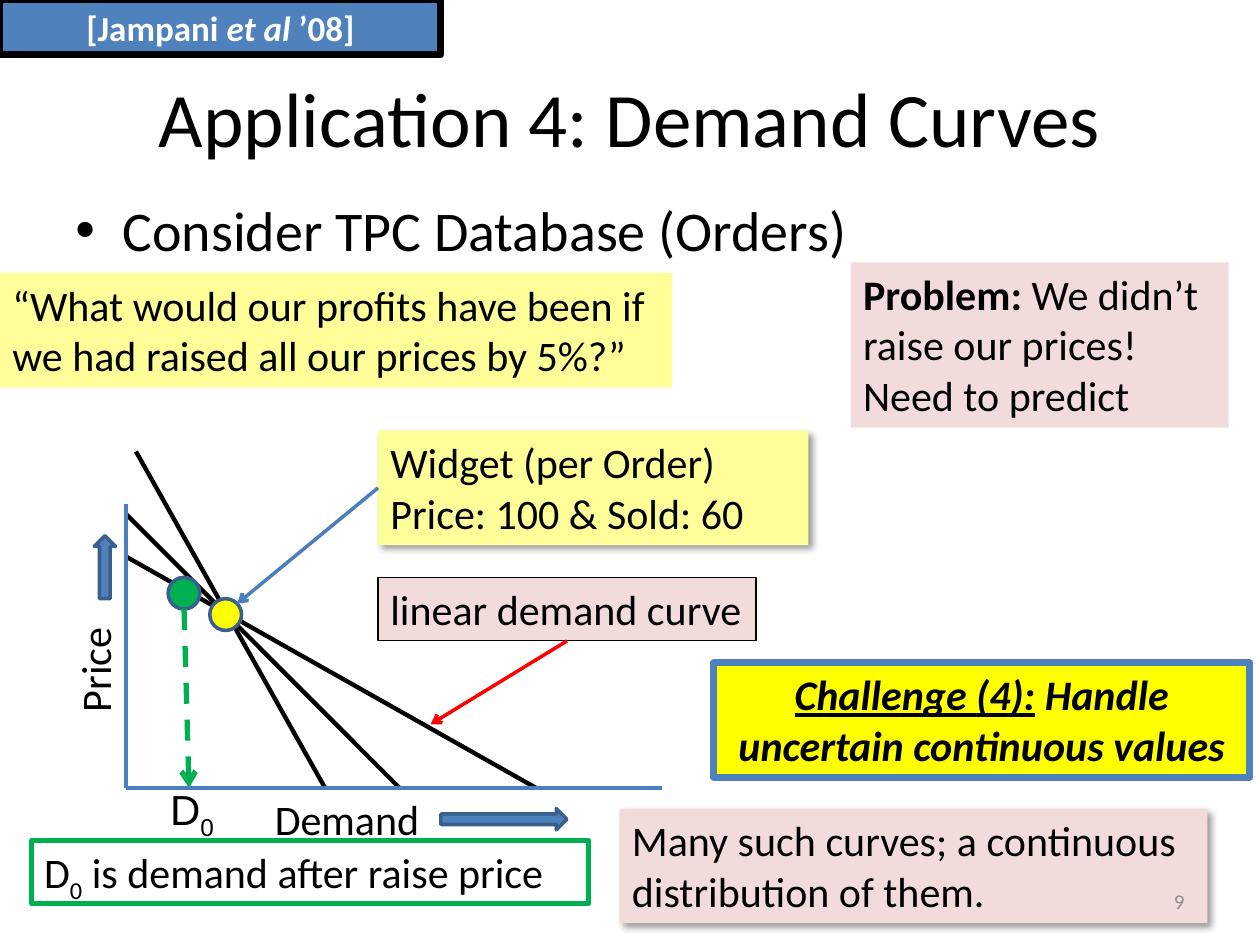
from lxml import etree
from pptx import Presentation
from pptx.dml.color import RGBColor
from pptx.enum.dml import MSO_LINE
from pptx.enum.shapes import MSO_CONNECTOR, MSO_SHAPE
from pptx.enum.text import MSO_ANCHOR, PP_ALIGN
from pptx.oxml.ns import qn
from pptx.util import Cm, Pt

RECT, OVAL = MSO_SHAPE.RECTANGLE, MSO_SHAPE.OVAL
RIGHT, UP = MSO_SHAPE.RIGHT_ARROW, MSO_SHAPE.UP_ARROW
LEFT, MID, END = PP_ALIGN.LEFT, PP_ALIGN.CENTER, PP_ALIGN.RIGHT
TOP, CENTRE = MSO_ANCHOR.TOP, MSO_ANCHOR.MIDDLE
STRAIGHT, DASH = MSO_CONNECTOR.STRAIGHT, MSO_LINE.DASH

COLOR = {
    "black": "000000", "white": "FFFFFF", "blue": "4F81BD", "axis": "4B7EBC",
    "edge": "3A5F8C", "yellow": "FFFF00", "pale": "FFFF99", "pink": "F2DCDB",
    "green": "00B050", "red": "FF0000", "gray": "8C8C8C",
}

deck = Presentation()
deck.slide_width, deck.slide_height = Cm(25.4), Cm(19.05)
slide = deck.slides.add_slide(deck.slide_layouts[6])
shapes = slide.shapes


def add_box(area, lines=(), fill=None, line=None, width=1, kind=RECT,
            size=24, color="black", font="Calibri", align=LEFT, anchor=TOP):
    """Add a shape, or a text box if it has no fill and no line.

    Each line is a list of (text, marks) runs; marks are among b, i, u and
    s for subscript.
    """
    place = [Cm(v) for v in area]
    if fill or line:
        box = shapes.add_shape(kind, *place)
        box.shadow.inherit = False
        if fill:
            box.fill.solid()
            box.fill.fore_color.rgb = RGBColor.from_string(COLOR[fill])
        else:
            box.fill.background()
        if line:
            box.line.color.rgb = RGBColor.from_string(COLOR[line])
            box.line.width = Pt(width)
        else:
            box.line.fill.background()
    else:
        box = shapes.add_textbox(*place)
    frame = box.text_frame
    frame.word_wrap = True
    frame.vertical_anchor = anchor
    for n, runs in enumerate(lines):
        para = frame.add_paragraph() if n else frame.paragraphs[0]
        para.alignment = align
        for text, marks in runs:
            run = para.add_run()
            run.text = text
            run.font.name, run.font.size = font, Pt(size)
            run.font.color.rgb = RGBColor.from_string(COLOR[color])
            run.font.bold = "b" in marks
            run.font.italic = "i" in marks
            run.font.underline = "u" in marks
            if "s" in marks:
                run.font._element.set("baseline", "-25000")
    return box


def add_line(start, end, color, width, arrow=False):
    link = shapes.add_connector(STRAIGHT, *[Cm(v) for v in (*start, *end)])
    link.line.color.rgb = RGBColor.from_string(COLOR[color])
    link.line.width = Pt(width)
    if arrow:
        etree.SubElement(link.line._get_or_add_ln(), qn("a:tailEnd"), type="arrow")
    etree.SubElement(link._element.spPr, qn("a:effectLst"))
    return link


# Demand curves and axes
left, base = 2.54, 15.88
for start, foot in (((2.74, 9.1), 6.55), ((left, 10.36), 8.05), ((left, 11.22), 10.8)):
    add_line(start, (foot, base), "black", 2.5)
add_line((13.34, base), (left, base), "axis", 2)
add_line((left, 10.16), (left, base), "axis", 2)

# Axis labels and their block arrows
add_box((5.29, base, 4.45, 1.27), [[("Demand", "")]])
add_box((8.89, 16.3, 2.54, 0.43), fill="blue", line="edge", width=2, kind=RIGHT)
price = add_box((1.27, 11.84, 1.55, 2.77), [[("Price", "")]])
price.text_frame._txBody.bodyPr.set("vert", "vert270")
add_box((1.9, 10.8, 0.43, 1.27), fill="blue", line="edge", width=2, kind=UP)

# Title and bullet
add_box((1.27, 0.76, 22.86, 3.18), [[("Application 4: Demand Curves", "")]],
        size=44, align=MID, anchor=CENTRE)
body = add_box((1.27, 3.81, 22.86, 1.6),
               [[("Consider TPC Database (Orders)", "")]], size=32)
props = body.text_frame.paragraphs[0]._p.get_or_add_pPr()
props.set("marL", str(Cm(0.95)))
props.set("indent", str(-Cm(0.95)))
etree.SubElement(props, qn("a:buFont"), typeface="Arial")
etree.SubElement(props, qn("a:buChar"), char="•")

# Citation, question, problem and challenge
add_box((0, 0, 8.89, 1.11), [[("[Jampani ", "b"), ("et al", "bi"), (" ’08]", "b")]],
        "blue", "black", 4, size=20, color="white", align=MID)
add_box((0, 5.5, 13.55, 2.31),
        [[("“What would our profits have been if we had raised all our prices by 5%?”", "")]],
        "pale")
add_box((17.15, 5.29, 7.62, 3.33),
        [[("Problem:", "b"), (" We didn’t raise our prices! Need to predict", "")]], "pink")
add_box((14.39, 13.36, 10.8, 2.31),
        [[("Challenge (4):", "biu"), (" Handle uncertain continuous values", "bi")]],
        "yellow", "blue", 4, align=MID)

# Notes on the chart
curve = add_box((7.62, 11.64, 7.62, 1.28), [[("linear demand curve", "")]],
                "pink", "black", 0.75)
widget = add_box((7.62, 8.68, 8.68, 2.31),
                 [[("Widget (per Order)", "")], [("Price: 100 & Sold: 60", "")]], "pale")
many = add_box((12.49, 16.3, 11.85, 2.31),
               [[("Many such curves; a continuous distribution of them.", "")]], "pink")
for box in (widget, many):
    effects = box._element.spPr.find(qn("a:effectLst"))
    shade = etree.SubElement(effects, qn("a:outerShdw"), blurRad=str(Pt(4)),
                             dist=str(Pt(3)), dir="2700000", algn="tl", rotWithShape="0")
    tint = etree.SubElement(shade, qn("a:srgbClr"), val=COLOR["black"])
    etree.SubElement(tint, qn("a:alpha"), val="40000")

# Points and pointers
for x, y, fill in ((4.23, 12.07, "yellow"), (3.39, 11.64, "green")):
    add_box((x, y, 0.64, 0.64), fill=fill, line="edge", width=2, kind=OVAL)
link = add_line((11.43, 12.92), (8.68, 14.6), "red", 2, arrow=True)
link.begin_connect(curve, 2)
link = add_line((7.62, 9.83), (4.78, 12.17), "axis", 2, arrow=True)
link.begin_connect(widget, 1)
drop = add_line((3.71, 12.28), (3.81, base), "green", 3, arrow=True)
drop.line.dash_style = DASH

# New demand level and page number
add_box((0.64, 16.94, 11.22, 1.28),
        [[("D", ""), ("0", "s"), (" is demand after raise price", "")]],
        line="green", width=3)
add_box((3.18, 15.67, 1.7, 1.27), [[("D", ""), ("0", "s")]], font="Arial")
add_box((18.2, 17.66, 5.93, 1.01), [[("9", "")]], size=12, color="gray",
        align=END, anchor=CENTRE)

deck.save("out.pptx")
